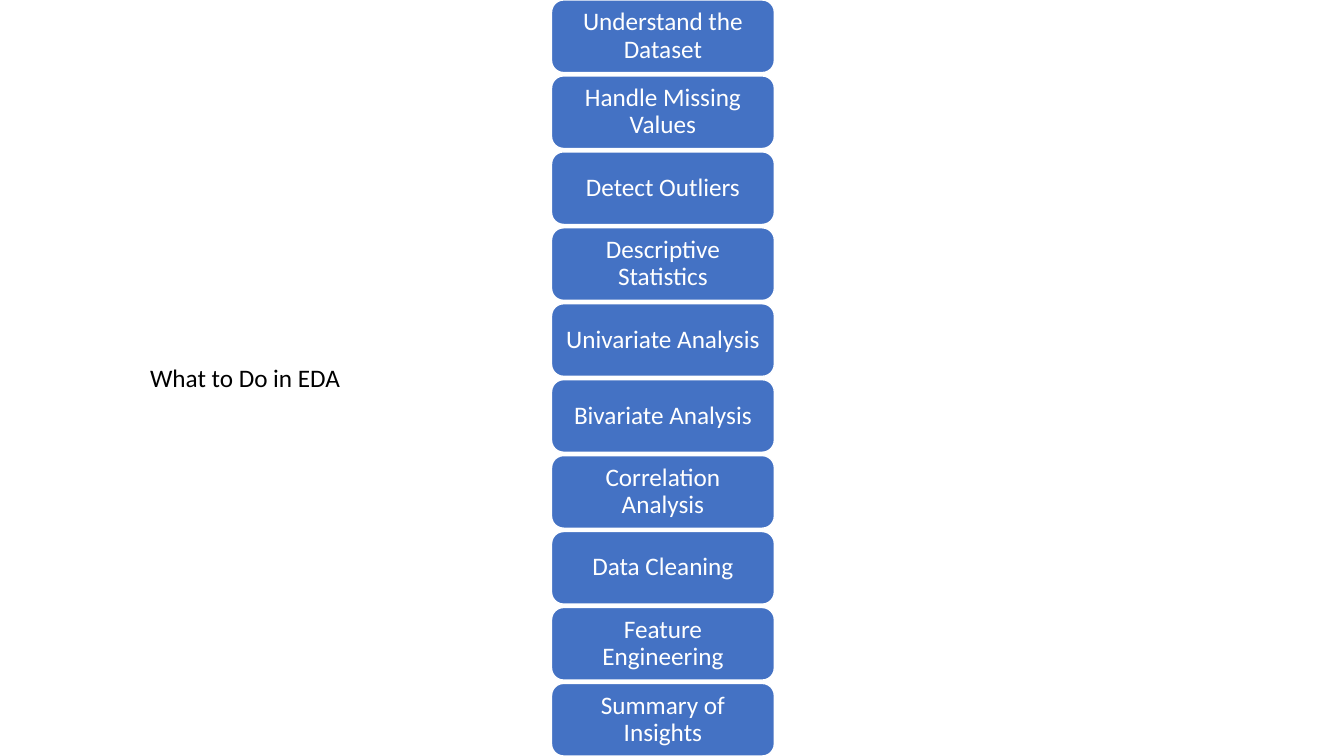
"""Build a slide that lists the steps of exploratory data analysis."""
from dataclasses import dataclass

from pptx import Presentation
from pptx.dml.color import RGBColor
from pptx.enum.shapes import MSO_SHAPE
from pptx.enum.text import MSO_ANCHOR, PP_ALIGN
from pptx.shapes.autoshape import Shape
from pptx.slide import Slide
from pptx.util import Inches, Pt

BLUE = RGBColor(0x44, 0x72, 0xC4)
WHITE = RGBColor(0xFF, 0xFF, 0xFF)
BLACK = RGBColor(0x00, 0x00, 0x00)

SLIDE_WIDTH, SLIDE_HEIGHT = 13.33, 7.5
STEP_LEFT, STEP_WIDTH, STEP_HEIGHT = 5.47, 2.21, 0.72
STEP_NAMES = (
    "Understand the Dataset",
    "Handle Missing Values",
    "Detect Outliers",
    "Descriptive Statistics",
    "Univariate Analysis",
    "Bivariate Analysis",
    "Correlation Analysis",
    "Data Cleaning",
    "Feature Engineering",
    "Summary of Insights",
)
STEP_PITCH = (SLIDE_HEIGHT - STEP_HEIGHT) / (len(STEP_NAMES) - 1)


@dataclass(frozen=True)
class Step:
    name: str
    top: float


def write_text(
    box: Shape,
    text: str,
    *,
    color: RGBColor,
    align: PP_ALIGN = PP_ALIGN.LEFT,
    anchor: MSO_ANCHOR = MSO_ANCHOR.TOP,
    line_spacing: float = 1.0,
    margins: tuple[float, float] = (0.1, 0.05),
) -> None:
    frame = box.text_frame
    frame.word_wrap = True
    frame.vertical_anchor = anchor
    frame.margin_left = frame.margin_right = Inches(margins[0])
    frame.margin_top = frame.margin_bottom = Inches(margins[1])
    para = frame.paragraphs[0]
    para.alignment = align
    para.line_spacing = line_spacing
    span = para.add_run()
    span.text = text
    span.font.name = "Calibri"
    span.font.size = Pt(18)
    span.font.color.rgb = color


def draw_step(page: Slide, step: Step) -> None:
    box = page.shapes.add_shape(
        MSO_SHAPE.ROUNDED_RECTANGLE,
        Inches(STEP_LEFT), Inches(step.top), Inches(STEP_WIDTH), Inches(STEP_HEIGHT),
    )
    box.shadow.inherit = False
    box.fill.solid()
    box.fill.fore_color.rgb = BLUE
    box.line.color.rgb = WHITE
    box.line.width = Pt(1)
    write_text(
        box, step.name, color=WHITE, align=PP_ALIGN.CENTER,
        anchor=MSO_ANCHOR.MIDDLE, line_spacing=0.9, margins=(0.07, 0.04),
    )


def main() -> None:
    deck = Presentation()
    deck.slide_width, deck.slide_height = Inches(SLIDE_WIDTH), Inches(SLIDE_HEIGHT)
    page = deck.slides.add_slide(deck.slide_layouts[6])
    for index, name in enumerate(STEP_NAMES):
        draw_step(page, Step(name, index * STEP_PITCH))
    heading = page.shapes.add_textbox(Inches(1.39), Inches(3.55), Inches(2.12), Inches(0.4))
    write_text(heading, "What to Do in EDA", color=BLACK)
    deck.save("out.pptx")


if __name__ == "__main__":
    main()
